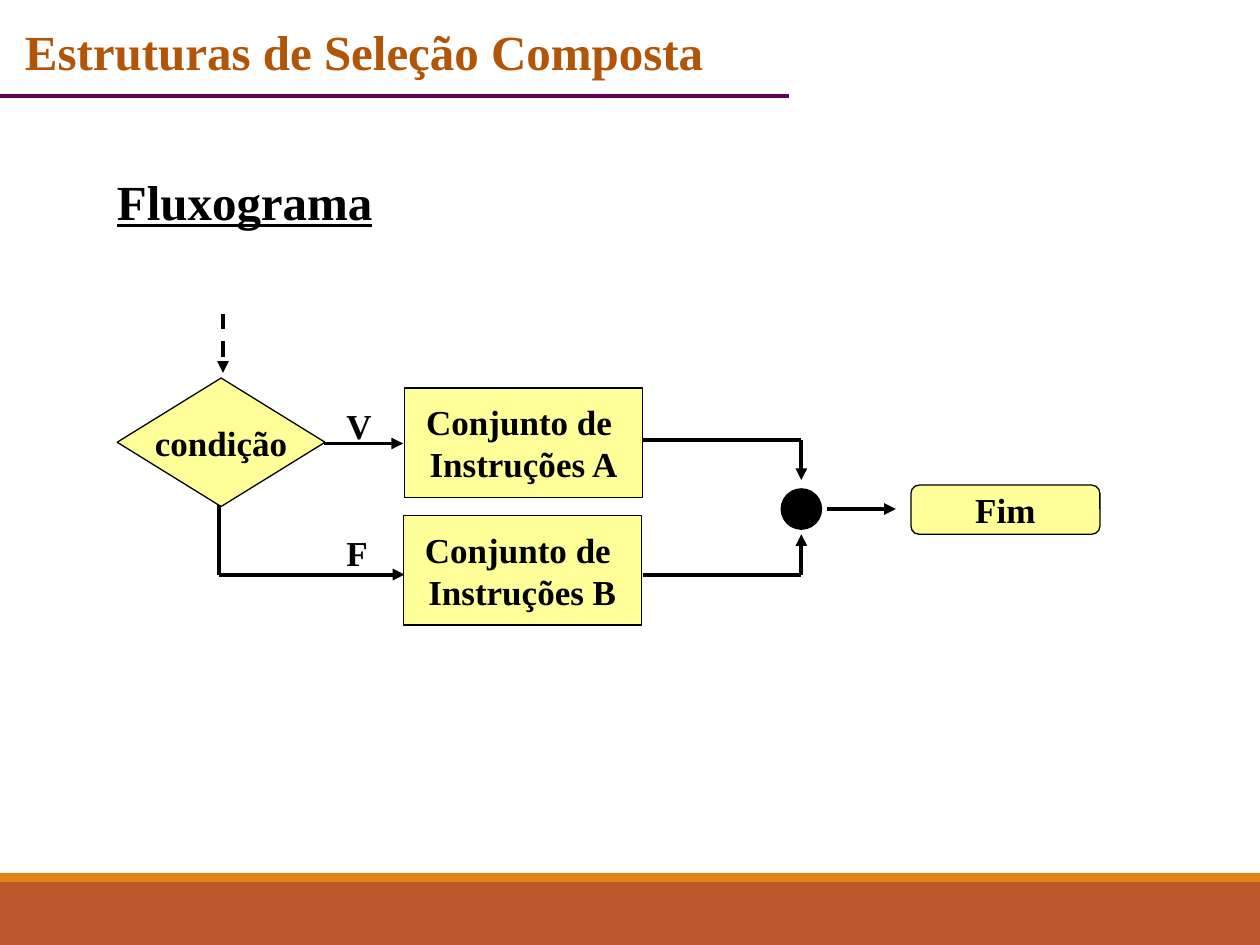
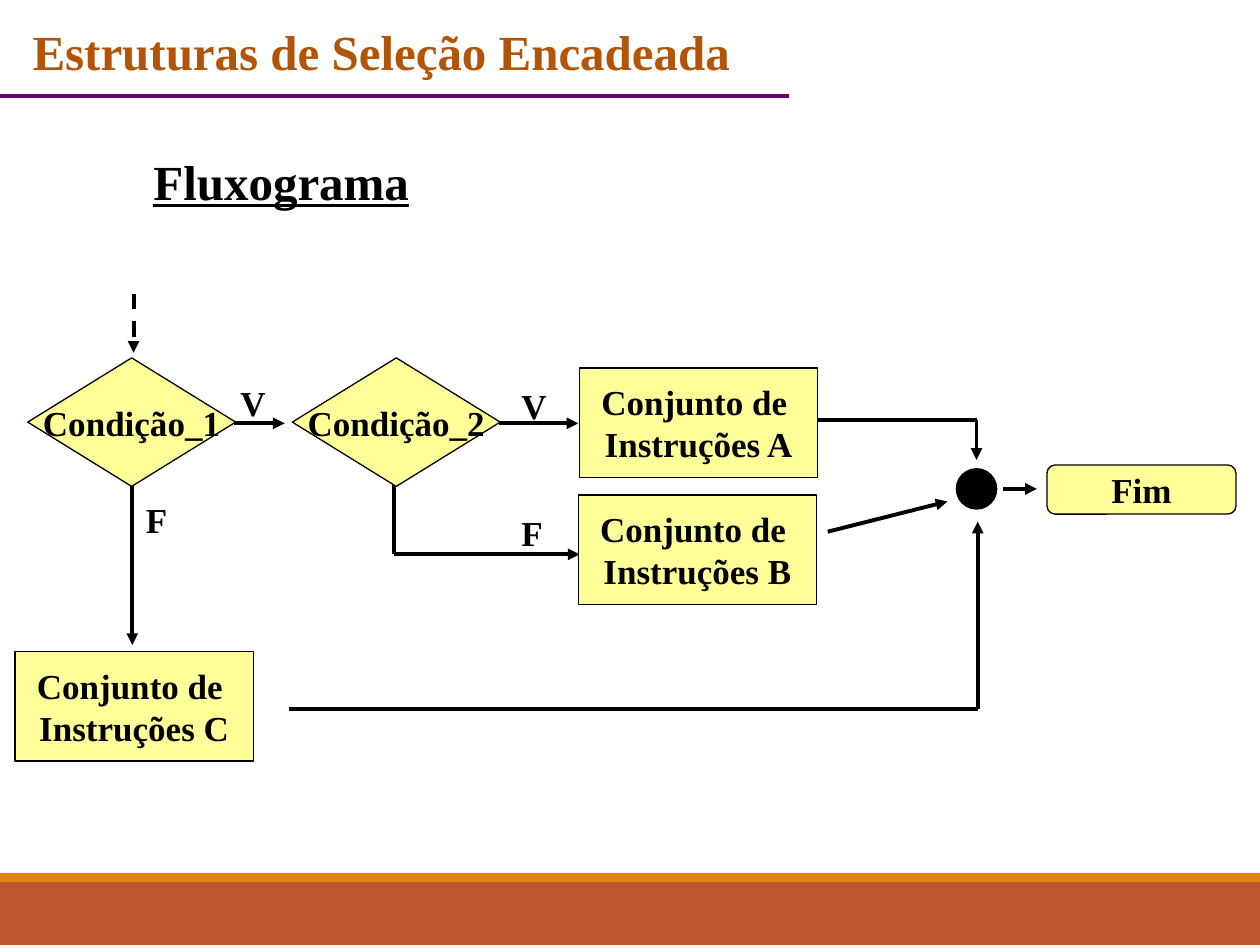
from dataclasses import dataclass

from lxml import etree
from pptx import Presentation
from pptx.dml.color import RGBColor
from pptx.enum.dml import MSO_LINE
from pptx.enum.shapes import MSO_CONNECTOR, MSO_SHAPE
from pptx.enum.text import MSO_ANCHOR, PP_ALIGN
from pptx.oxml.ns import qn
from pptx.util import Inches, Pt

DIAMOND = MSO_SHAPE.DIAMOND
ELLIPSE = MSO_SHAPE.OVAL
RECT = MSO_SHAPE.RECTANGLE
ROUNDED = MSO_SHAPE.ROUNDED_RECTANGLE
STRAIGHT = MSO_CONNECTOR.STRAIGHT
DASH = MSO_LINE.DASH
CENTER = PP_ALIGN.CENTER
LEFT = PP_ALIGN.LEFT
MIDDLE = MSO_ANCHOR.MIDDLE
TOP = MSO_ANCHOR.TOP


@dataclass(frozen=True)
class Theme:
    font: str = "Times New Roman"
    ink: str = "000000"
    node: str = "FFFF99"
    title: str = "B25508"
    rule: str = "660066"
    footer: str = "BD582C"
    footer_edge: str = "E48312"
    heading_size: int = 28
    node_size: int = 20
    outline: float = 0.75
    stroke: float = 2.25


class FlowDeck:
    def __init__(self, theme):
        self.theme = theme
        self.deck = Presentation()
        self.deck.slide_width = Inches(10)
        self.deck.slide_height = Inches(7.5)
        self.slide = None

    def new_slide(self, title, title_left, title_width, heading_left, heading_top):
        theme = self.theme
        self.slide = self.deck.slides.add_slide(self.deck.slide_layouts[6])
        self.shape(RECT, 0, 7, 10, 0.5, theme.footer)
        self.shape(RECT, 0, 6.93, 10, 0.07, theme.footer_edge)
        self.text(title, title_left, 0.12, title_width, 0.57, theme.heading_size, theme.title)
        self.line((0, 0.76), (6.26, 0.76), theme.rule)
        self.text("Fluxograma", heading_left, heading_top, 2.23, 0.57,
                  theme.heading_size, theme.ink, underline=True)

    def set_text(self, shape, text, size, color, align, anchor, underline=None):
        frame = shape.text_frame
        frame.word_wrap = False
        frame.vertical_anchor = anchor
        frame.text = text
        for paragraph in frame.paragraphs:
            paragraph.alignment = align
            font = paragraph.font
            font.name = self.theme.font
            font.size = Pt(size)
            font.bold = True
            font.underline = underline
            font.color.rgb = RGBColor.from_string(color)

    def text(self, text, left, top, width, height, size, color, underline=None):
        box = self.slide.shapes.add_textbox(
            Inches(left), Inches(top), Inches(width), Inches(height))
        self.set_text(box, text, size, color, LEFT, TOP, underline)

    def shape(self, kind, left, top, width, height, fill, outlined=False):
        shape = self.slide.shapes.add_shape(
            kind, Inches(left), Inches(top), Inches(width), Inches(height))
        shape.shadow.inherit = False
        shape.fill.solid()
        shape.fill.fore_color.rgb = RGBColor.from_string(fill)
        if outlined:
            shape.line.color.rgb = RGBColor.from_string(self.theme.ink)
            shape.line.width = Pt(self.theme.outline)
        else:
            shape.line.fill.background()
        return shape

    def node(self, kind, text, left, top, width, height):
        node = self.shape(kind, left, top, width, height, self.theme.node, outlined=True)
        self.set_text(node, text, self.theme.node_size, self.theme.ink, CENTER, MIDDLE)

    def condition(self, text, left, top):
        self.node(DIAMOND, text, left, top, 1.65, 1.02)

    def instructions(self, letter, left, top):
        self.node(RECT, f"Conjunto de \nInstruções {letter}", left, top, 1.89, 0.87)

    def end(self, left, top):
        self.node(ROUNDED, "Fim", left, top, 1.5, 0.39)

    def join(self, left, top):
        self.shape(ELLIPSE, left, top, 0.32, 0.32, self.theme.ink, outlined=True)

    def label(self, text, left, top):
        self.text(text, left, top, 0.4, 0.44, self.theme.node_size, self.theme.ink)

    def line(self, start, finish, color=None, arrow=False, dash=None):
        line = self.slide.shapes.add_connector(
            STRAIGHT, *(Inches(value) for value in (*start, *finish)))
        line.line.color.rgb = RGBColor.from_string(color or self.theme.ink)
        line.line.width = Pt(self.theme.stroke)
        if dash:
            line.line.dash_style = dash
        properties = line.element.spPr
        if arrow:
            etree.SubElement(properties.find(qn("a:ln")), qn("a:tailEnd"), type="triangle")
        etree.SubElement(properties, qn("a:effectLst"))

    def arrow(self, *points, dash=None):
        for start, finish in zip(points, points[1:]):
            self.line(start, finish, arrow=finish == points[-1], dash=dash)

    def selection(self, condition, left, top):
        def at(x, y):
            return left + x, top + y

        self.condition(condition, left, top)
        self.arrow(at(1.64, 0.52), at(2.27, 0.52))
        self.label("V", *at(1.72, 0.16))
        self.instructions("A", *at(2.28, 0.08))
        self.arrow(at(0.81, 1.01), at(0.81, 1.56), at(2.28, 1.56))
        self.label("F", *at(1.72, 1.17))
        self.instructions("B", *at(2.27, 1.09))
        self.arrow(at(4.17, 0.49), at(5.43, 0.49), at(5.43, 0.81))
        self.join(*at(5.27, 0.88))

    def save(self):
        self.deck.save("out.pptx")


def compound_selection(flow):
    flow.new_slide("Estruturas de Seleção Composta", 0.1, 5.64, 0.83, 1.31)
    flow.arrow((1.77, 2.49), (1.77, 2.96), dash=DASH)
    flow.selection("condição", 0.93, 3)
    flow.arrow((5.1, 4.56), (6.36, 4.56), (6.36, 4.24))
    flow.arrow((6.56, 4.04), (7.11, 4.04))
    flow.end(7.23, 3.85)


def nested_selection(flow):
    flow.new_slide("Estruturas de Seleção Encadeada", 0.16, 5.79, 1.12, 1.15)
    flow.arrow((1.06, 2.33), (1.06, 2.8), dash=DASH)
    flow.condition("Condição_1", 0.22, 2.84)
    flow.arrow((1.86, 3.36), (2.26, 3.36))
    flow.label("V", 1.81, 2.98)
    flow.selection("Condição_2", 2.32, 2.84)
    flow.arrow((6.57, 4.22), (7.52, 3.98))
    flow.arrow((1.05, 3.86), (1.05, 5.12))
    flow.label("F", 1.06, 3.91)
    flow.instructions("C", 0.12, 5.17)
    flow.arrow((2.29, 5.63), (7.76, 5.63), (7.76, 4.14))
    flow.arrow((7.96, 3.88), (8.23, 3.88))
    flow.end(8.31, 3.69)


def main():
    flow = FlowDeck(Theme())
    compound_selection(flow)
    nested_selection(flow)
    flow.save()


if __name__ == "__main__":
    main()
